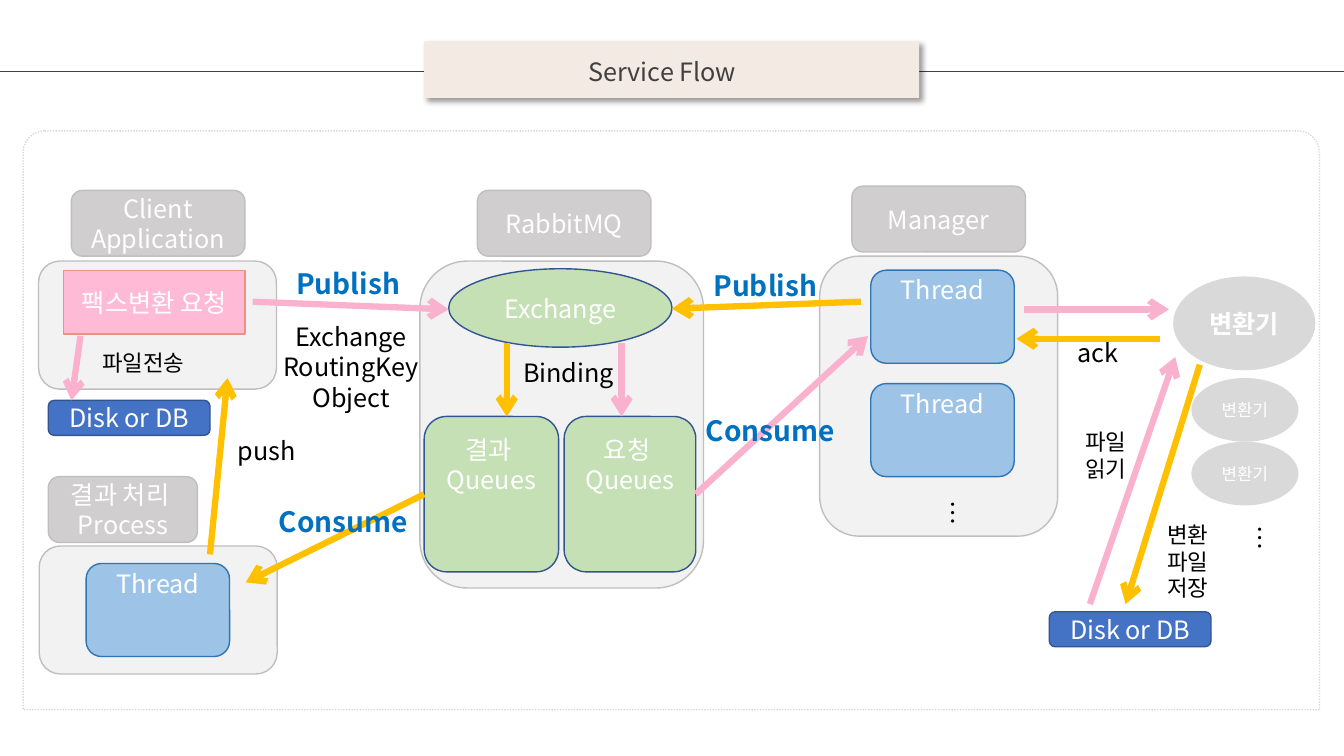
from lxml.etree import SubElement
from pptx import Presentation
from pptx.dml.color import RGBColor
from pptx.enum.dml import MSO_LINE
from pptx.enum.shapes import MSO_CONNECTOR, MSO_SHAPE
from pptx.enum.text import MSO_ANCHOR, PP_ALIGN
from pptx.oxml.ns import qn
from pptx.util import Pt

FONT = "Noto Sans CJK KR"
COLORS = {
    "white": "FFFFFF", "black": "000000", "dark": "404040",
    "beige": "F4EAE4", "panel": "F2F2F2", "edge": "BFBFBF",
    "header": "D0CECE", "gray": "D9D9D9", "rose": "FFBBD6",
    "coral": "ED9282", "blue": "4472C4", "navy": "325491",
    "green": "C5E0B4", "sky": "9DC3E6", "skyline": "2E75B6",
    "request": "FAB1CE", "result": "FFC000", "action": "0070C0",
}
RGB = {name: RGBColor.from_string(value) for name, value in COLORS.items()}

prs = Presentation()
prs.slide_width, prs.slide_height = Pt(960), Pt(540)
slide = prs.slides.add_slide(prs.slide_layouts[6])
shapes = slide.shapes


def add_box(kind, x, y, w, h, fill, line=None):
    sp = shapes.add_shape(kind, Pt(x), Pt(y), Pt(w), Pt(h))
    sp.shadow.inherit = False
    sp.fill.solid()
    sp.fill.fore_color.rgb = RGB[fill]
    if line:
        sp.line.color.rgb = RGB[line]
        sp.line.width = Pt(1)
    else:
        sp.line.fill.background()
    return sp


def add_text(sp, lines, size=18, color="white", bold=False,
             align=PP_ALIGN.CENTER, anchor=MSO_ANCHOR.MIDDLE):
    tf = sp.text_frame
    tf.word_wrap = True
    tf.vertical_anchor = anchor
    for i, line in enumerate(lines):
        p = tf.paragraphs[0] if i == 0 else tf.add_paragraph()
        p.alignment = align
        p.line_spacing = Pt(size * 1.2)
        r = p.add_run()
        r.text = line
        r.font.size = Pt(size)
        r.font.bold = bold
        r.font.color.rgb = RGB[color]
        r.font.name = FONT
        SubElement(r.font._element, qn("a:ea"), typeface=FONT)


# Frame, title rule and title plate
frame = add_box(MSO_SHAPE.ROUND_2_SAME_RECTANGLE, 16.5, 93.5, 926, 413.5, "white", "gray")
frame.adjustments[0] = 0.037
frame.adjustments[1] = 0
frame.line.dash_style = MSO_LINE.ROUND_DOT
rule = shapes.add_connector(MSO_CONNECTOR.STRAIGHT, Pt(0), Pt(51), Pt(960), Pt(51))
rule.line.color.rgb = RGB["dark"]
rule.line.width = Pt(0.75)
SubElement(rule._element.spPr, qn("a:effectLst"))
plate = add_box(MSO_SHAPE.RECTANGLE, 303, 29.5, 353.5, 40.5, "beige")
effects = plate._element.spPr.find(qn("a:effectLst"))
shadow = SubElement(effects, qn("a:outerShdw"), blurRad=str(Pt(4)), dist=str(Pt(3)),
                    dir="2700000", algn="tl", rotWithShape="0")
shade = SubElement(shadow, qn("a:srgbClr"), val=COLORS["black"])
SubElement(shade, qn("a:alpha"), val="40000")

# Panels
for x, y, w, h in [(28, 390, 170, 91.5), (27.5, 186.5, 170, 91.5),
                   (300, 186.5, 202.5, 233.5), (585.5, 183, 170, 200)]:
    add_box(MSO_SHAPE.ROUNDED_RECTANGLE, x, y, w, h, "panel", "edge")

# Panel headers
for x, y, w, lines in [(51, 136, 124, ["Client Application"]),
                       (341, 136, 124, ["RabbitMQ"]),
                       (608.5, 133, 124, ["Manager"]),
                       (34.5, 340.5, 106.5, ["결과 처리 ", "Process"])]:
    sp = add_box(MSO_SHAPE.ROUNDED_RECTANGLE, x, y, w, 47, "header", "edge")
    add_text(sp, lines)

# Request, exchange and storage
sp = add_box(MSO_SHAPE.RECTANGLE, 45.5, 193, 129.5, 45.5, "rose", "coral")
add_text(sp, ["팩스변환 요청"])
sp = add_box(MSO_SHAPE.OVAL, 320.5, 192, 159.5, 56, "green", "navy")
add_text(sp, ["Exchange"])
for x, y in [(34.5, 286), (749.5, 437)]:
    sp = add_box(MSO_SHAPE.ROUNDED_RECTANGLE, x, y, 115.5, 25, "blue", "navy")
    add_text(sp, ["Disk or DB"])

# Queues
queues = {}
for name, x, w in [("결과 ", 303, 96), ("요청 ", 403, 94)]:
    sp = add_box(MSO_SHAPE.ROUNDED_RECTANGLE, x, 297.5, w, 111, "green", "navy")
    sp.text_frame.margin_top = Pt(8)
    add_text(sp, [name, "Queues"], anchor=MSO_ANCHOR.TOP)
    queues[name.strip()] = sp

# Threads
for x, y in [(622, 193), (622, 274), (61.5, 402.5)]:
    sp = add_box(MSO_SHAPE.ROUNDED_RECTANGLE, x, y, 102.5, 66.5, "sky", "skyline")
    sp.text_frame.margin_top = Pt(0)
    add_text(sp, ["Thread"], anchor=MSO_ANCHOR.TOP)

# Converters
for x, y, w, h, size in [(838, 197.5, 101.5, 67, 18), (851, 270, 76.5, 45.5, 12),
                         (851, 315.5, 76.5, 45.5, 12)]:
    sp = add_box(MSO_SHAPE.OVAL, x, y, w, h, "gray")
    add_text(sp, ["변환기"], size, bold=size == 18)

# Arrows: x1, y1, x2, y2 and the queue side where one starts
arrows = {
    "request": [(57.5, 240, 51, 286), (180.5, 215.5, 320.5, 221),
                (444, 245, 444, 297.5), (497, 353, 620, 240, "요청", 3),
                (731.5, 221, 835, 221), (778.5, 431.5, 839.5, 255)],
    "result": [(615, 215.5, 480, 220.5), (362, 245, 362, 297.5),
               (828.5, 242, 726, 242), (303, 353, 175.5, 416, "결과", 1),
               (150, 396, 162.5, 270), (857, 260.5, 804, 431.5)],
}
for color, routes in arrows.items():
    for x1, y1, x2, y2, *start in routes:
        cx = shapes.add_connector(MSO_CONNECTOR.STRAIGHT, Pt(x1), Pt(y1), Pt(x2), Pt(y2))
        if start:
            cx.begin_connect(queues[start[0]], start[1])
        cx.line.color.rgb = RGB[color]
        cx.line.width = Pt(4.5)
        SubElement(cx.line._get_or_add_ln(), qn("a:tailEnd"), type="arrow")
        SubElement(cx._element.spPr, qn("a:effectLst"))

# Labels
C, L = PP_ALIGN.CENTER, PP_ALIGN.LEFT
labels = [
    (367, 36.5, 212, 29, ["Service Flow"], 18, "dark", C),
    (66, 245.5, 91, 26.5, ["파일전송"], 16, "black", L),
    (366.5, 252, 98.5, 29, ["Binding"], 18, "black", L),
    (192, 226, 117.5, 72.5, ["Exchange", "RoutingKey", "Object"], 18, "black", C),
    (768, 302.5, 49, 46, ["파일", "읽기"], 16, "black", L),
    (762.5, 237.5, 55.5, 29, ["ack"], 18, "black", L),
    (162.5, 307.5, 68.5, 29, ["push"], 18, "black", L),
    (826.5, 368.5, 49, 65.5, ["변환파일 저장"], 16, "black", L),
    (204.5, 186.5, 95, 31.5, ["Publish"], 20, "action", L),
    (502.5, 188.5, 95, 31.5, ["Publish"], 20, "action", L),
    (497, 291.5, 118, 31.5, ["Consume"], 20, "action", L),
    (192, 357, 118, 31.5, ["Consume"], 20, "action", L),
]
for x, y, w, h, lines, size, color, align in labels:
    sp = shapes.add_textbox(Pt(x), Pt(y), Pt(w), Pt(h))
    add_text(sp, lines, size, color, color == "action", align, MSO_ANCHOR.TOP)

# Vertical ellipses
for x, y, w in [(661.5, 333.5, 17.5), (872, 360, 34)]:
    sp = shapes.add_textbox(Pt(x), Pt(y), Pt(w), Pt(51))
    sp.rotation = 90
    add_text(sp, ["…"], color="black", align=L, anchor=MSO_ANCHOR.TOP)

prs.save("out.pptx")
